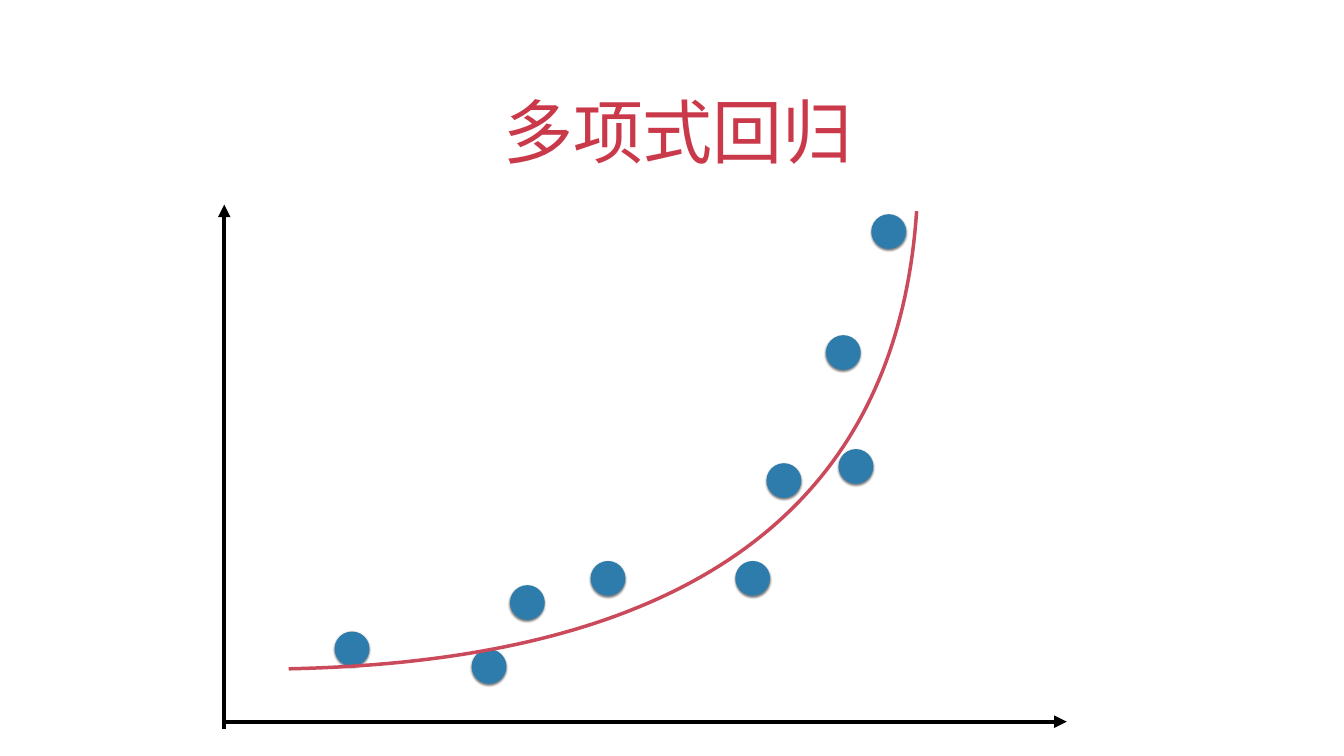
"""Build a slide showing a polynomial regression curve through scattered points."""
import pptx
import pptx.dml.color
import pptx.enum.shapes
import pptx.enum.text
import pptx.util
from lxml import etree
from pptx.oxml.ns import qn

Inches = pptx.util.Inches
Pt = pptx.util.Pt
RGBColor = pptx.dml.color.RGBColor

RED = RGBColor(0xC9, 0x39, 0x4A)
CURVE_RED = RGBColor(0xCA, 0x49, 0x5A)
BLUE = RGBColor(0x2E, 0x7C, 0xAC)
BLACK = RGBColor(0, 0, 0)

TITLE = "多项式回归"
AXES = [((4.44, 14.32), (21.17, 14.32)), ((4.45, 14.46), (4.45, 4.06))]
DOT_SIZE = 0.69
DOTS_BEHIND_CURVE = [
    (9.36, 12.88), (15.21, 9.19), (16.39, 6.65), (17.29, 4.25),
    (11.72, 11.13), (6.64, 12.53), (10.12, 11.61), (14.59, 11.13),
]
DOT_IN_FRONT = (16.64, 8.91)
CURVE_CONTROLS = [(5.73, 13.27), (13.65, 13.11), (17.8, 10.09), (18.19, 4.19)]
CURVE_STEPS = 80


def add_title(slide):
    box = slide.shapes.add_textbox(Inches(1.94), Inches(1.27), Inches(22.78), Inches(2.22))
    frame = box.text_frame
    frame.word_wrap = True
    frame.vertical_anchor = pptx.enum.text.MSO_ANCHOR.BOTTOM
    frame.margin_left = frame.margin_right = Inches(0.06)
    frame.margin_top = frame.margin_bottom = Inches(0.06)
    frame.text = TITLE
    paragraph = frame.paragraphs[0]
    paragraph.alignment = pptx.enum.text.PP_ALIGN.CENTER
    properties = paragraph._p.get_or_add_pPr()
    properties.set("marL", "0")
    properties.set("indent", str(Inches(0.25)))
    font = paragraph.runs[0].font
    font.name = "Arial"
    font.size = Pt(100)
    font.color.rgb = RED


def add_axis(slide, start, end):
    axis = slide.shapes.add_connector(
        pptx.enum.shapes.MSO_CONNECTOR.STRAIGHT, *map(Inches, start + end))
    axis.line.color.rgb = BLACK
    axis.line.width = Pt(6)
    etree.SubElement(axis.line._get_or_add_ln(), qn("a:tailEnd"), type="triangle")
    etree.SubElement(axis._element.spPr, qn("a:effectLst"))


def add_dot(slide, left, top):
    dot = slide.shapes.add_shape(
        pptx.enum.shapes.MSO_SHAPE.OVAL,
        Inches(left), Inches(top), Inches(DOT_SIZE), Inches(DOT_SIZE))
    dot.fill.solid()
    dot.fill.fore_color.rgb = BLUE
    dot.line.fill.background()
    dot.shadow.inherit = False
    effects = dot._element.spPr.find(qn("a:effectLst"))
    shadow = etree.SubElement(
        effects, qn("a:outerShdw"), blurRad=str(Pt(3)), dist=str(Pt(2)),
        dir="5400000", rotWithShape="0")
    color = etree.SubElement(shadow, qn("a:srgbClr"), val=str(BLACK))
    etree.SubElement(color, qn("a:alpha"), val="50000")


def curve_point(t):
    weights = [(1 - t) ** 3, 3 * t * (1 - t) ** 2, 3 * t ** 2 * (1 - t), t ** 3]
    return tuple(
        Inches(sum(weight * value for weight, value in zip(weights, values)))
        for values in zip(*CURVE_CONTROLS))


def add_curve(slide):
    points = [curve_point(step / CURVE_STEPS) for step in range(CURVE_STEPS + 1)]
    builder = slide.shapes.build_freeform(*points[0])
    builder.add_line_segments(points[1:], close=False)
    curve = builder.convert_to_shape()
    curve.fill.background()
    curve.line.color.rgb = CURVE_RED
    curve.line.width = Pt(5)
    curve.shadow.inherit = False


def main():
    presentation = pptx.Presentation()
    presentation.slide_width = Inches(26.67)
    presentation.slide_height = Inches(15)
    slide = presentation.slides.add_slide(presentation.slide_layouts[6])
    add_title(slide)
    for start, end in AXES:
        add_axis(slide, start, end)
    for left, top in DOTS_BEHIND_CURVE:
        add_dot(slide, left, top)
    add_curve(slide)
    add_dot(slide, *DOT_IN_FRONT)
    presentation.save("out.pptx")


if __name__ == "__main__":
    main()
